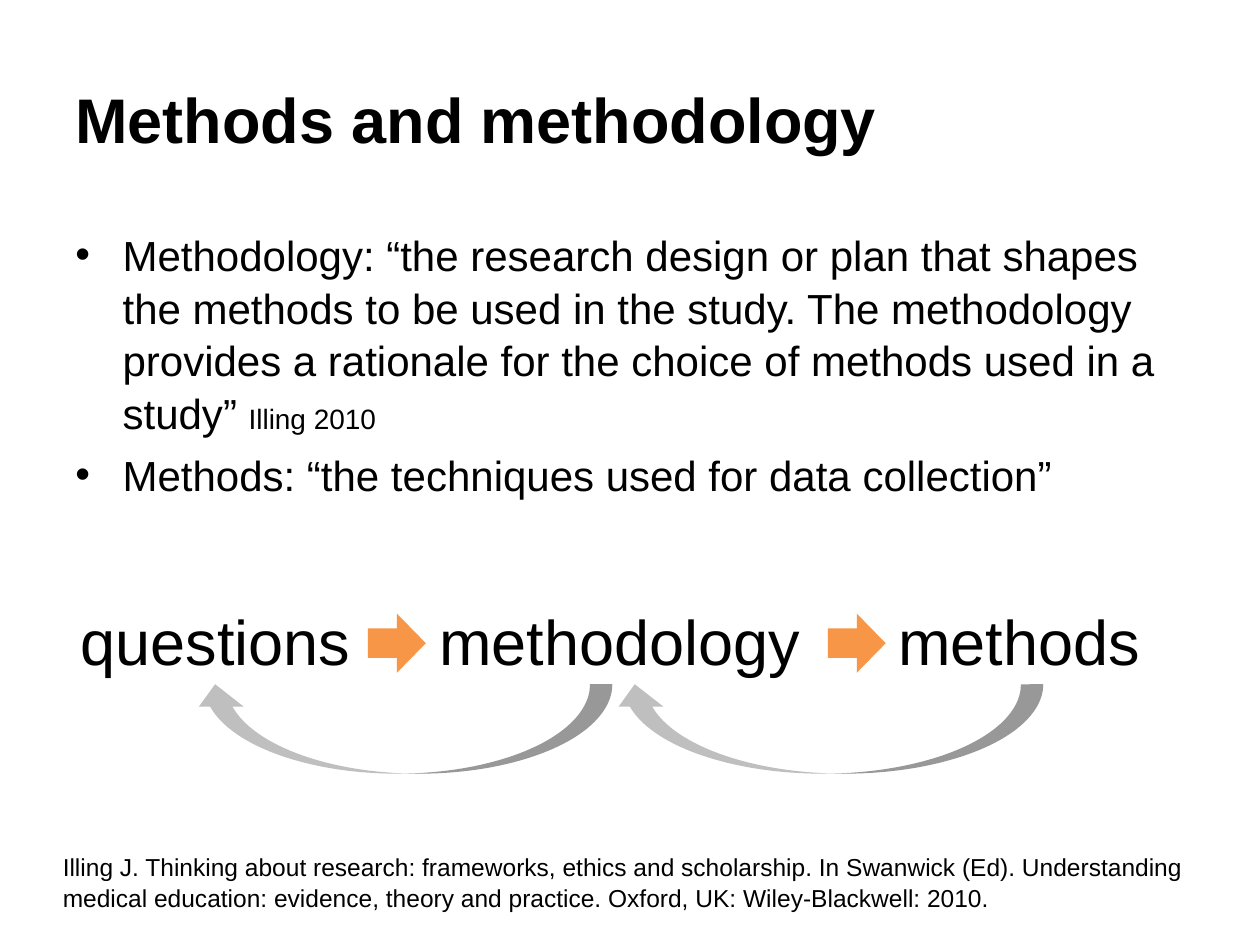
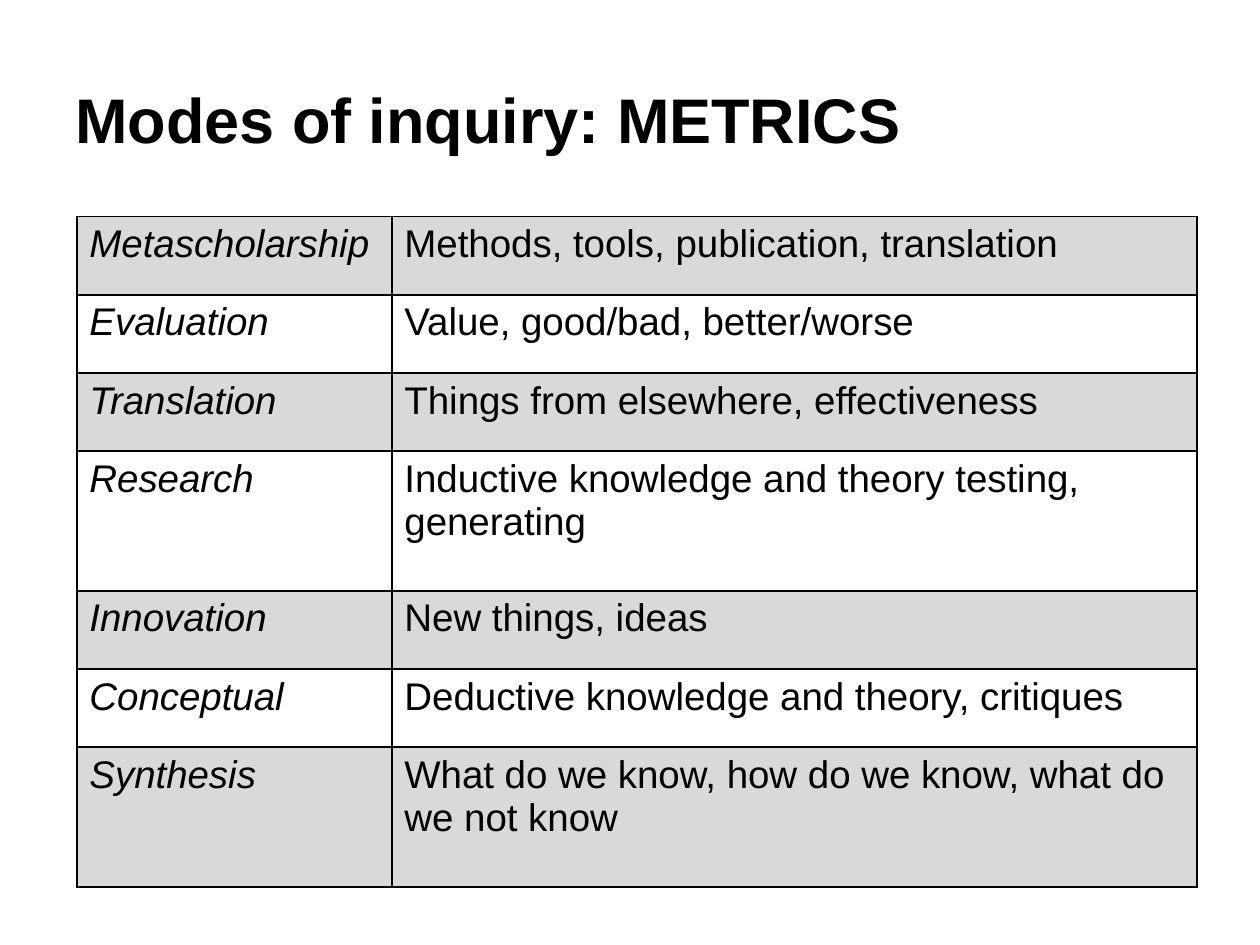
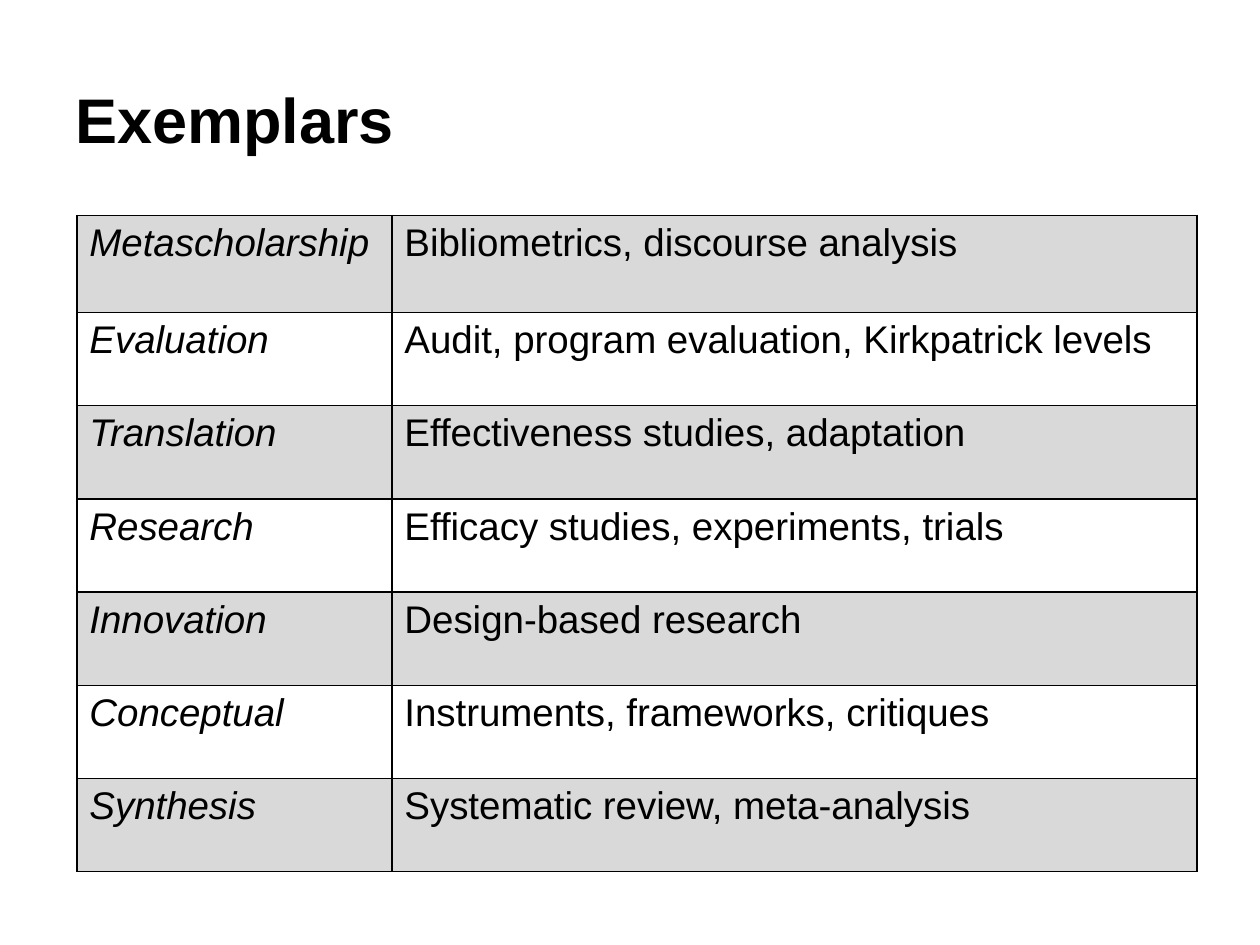
from lxml.etree import SubElement as Sub
from pptx import Presentation
from pptx.dml.color import RGBColor as Rgb
from pptx.enum.shapes import MSO_SHAPE as Kind
from pptx.enum.text import MSO_ANCHOR as Anchor, PP_ALIGN as Align
from pptx.oxml.ns import qn
from pptx.util import Emu, Inches, Pt

HUES = {"ink": "000000", "paper": "FFFFFF", "band": "D9D9D9",
        "step": "F79646", "loop": "BFBFBF"}
FONT = {"name": "Arial", "bold": False, "italic": False}
FLOW = {"line_spacing": 1.05, "space_before": Pt(0), "space_after": Pt(0)}
CELL = {"line_spacing": 1.0, "space_after": Pt(6)}
COLS, ROWS = 100, 75

MODES = ["Metascholarship", "Evaluation", "Translation", "Research",
         "Innovation", "Conceptual", "Synthesis"]
AIMS = ["Methods, tools, publication, translation",
        "Value, good/bad, better/worse",
        "Things from elsewhere, effectiveness",
        "Inductive knowledge and theory testing, generating",
        "New things, ideas",
        "Deductive knowledge and theory, critiques",
        "What do we know, how do we know, what do we not know"]
CASES = ["Bibliometrics, discourse analysis",
         "Audit, program evaluation, Kirkpatrick levels",
         "Effectiveness studies, adaptation",
         "Efficacy studies, experiments, trials",
         "Design-based research",
         "Instruments, frameworks, critiques",
         "Systematic review, meta-analysis"]
QUOTES = [
    [("Methodology: “the research design or plan that shapes the methods "
      "to be used in the study. The methodology provides a rationale for "
      "the choice of methods used in a study” ", 24), ("Illing 2010", 16)],
    [("Methods: “the techniques used for data collection”", 24)]]
SOURCE = ("Illing J. Thinking about research: frameworks, ethics and "
          "scholarship. In Swanwick (Ed). Understanding medical education: "
          "evidence, theory and practice. Oxford, UK: Wiley-Blackwell: 2010.")


def apply(item, *looks):
    for look in looks:
        for key, value in look.items():
            setattr(item, key, value)


def paint(fill, name):
    fill.solid()
    fill.fore_color.rgb = Rgb.from_string(HUES[name])


class Deck:
    def __init__(self):
        self.file = Presentation()
        apply(self.file, {"slide_width": Inches(10),
                          "slide_height": Inches(7.5)})
        self.slide = None

    def x(self, cols):
        return Emu(round(self.file.slide_width * cols / COLS))

    def y(self, rows):
        return Emu(round(self.file.slide_height * rows / ROWS))

    def place(self, x, y, w, h):
        return self.x(x), self.y(y), self.x(w), self.y(h)

    def page(self, title):
        self.slide = self.file.slides.add_slide(self.file.slide_layouts[6])
        paint(self.slide.background.fill, "paper")
        self.text((5, 3, 90, 12.5), title, 36, Anchor.MIDDLE, bold=True)

    def words(self, para, runs, flow, **look):
        apply(para, FLOW, flow)
        for text, size in runs:
            run = para.add_run()
            run.text = text
            apply(run.font, FONT, {"size": Pt(size)}, look)
            paint(run.font.fill, "ink")

    def frame(self, at, anchor=Anchor.TOP):
        frame = self.slide.shapes.add_textbox(*self.place(*at)).text_frame
        apply(frame, {"word_wrap": True, "vertical_anchor": anchor})
        return frame

    def text(self, at, text, size, anchor=Anchor.TOP, align=Align.LEFT,
             **look):
        para = self.frame(at, anchor).paragraphs[0]
        self.words(para, [(text, size)], {"alignment": align}, **look)

    def points(self, at, items):
        frame = self.frame(at)
        for i, runs in enumerate(items):
            para = frame.add_paragraph() if i else frame.paragraphs[0]
            props = para._p.get_or_add_pPr()
            props.set("marL", str(self.x(3.75)))
            props.set("indent", str(-self.x(3.75)))
            Sub(props, qn("a:buFont"), typeface=FONT["name"])
            Sub(props, qn("a:buChar"), char="•")
            self.words(para, runs, {"space_before": Pt(4.8 if i else 0)})

    def shape(self, kind, at, fill, turn=0):
        shape = self.slide.shapes.add_shape(kind, *self.place(*at))
        shape.shadow.inherit = False
        shape.rotation = turn
        paint(shape.fill, fill)
        shape.line.fill.background()

    def edge(self, cell):
        props = cell._tc.get_or_add_tcPr()
        for side in "LRTB":
            line = Sub(props, qn(f"a:ln{side}"), w=str(Pt(1)))
            fill = Sub(line, qn("a:solidFill"))
            Sub(fill, qn("a:srgbClr"), val=HUES["ink"])

    def table(self, top, rows, sizes):
        at = self.place(6.1, top, 88.9, sum(sizes))
        table = self.slide.shapes.add_table(len(rows), 2, *at).table
        apply(table, {"first_row": False, "horz_banding": False})
        for col, width in zip(table.columns, (25, 63.9)):
            col.width = self.x(width)
        for r, (row, size) in enumerate(zip(rows, sizes)):
            table.rows[r].height = self.y(size)
            for c, text in enumerate(row):
                cell = table.cell(r, c)
                self.edge(cell)
                paint(cell.fill, "paper" if r % 2 else "band")
                self.words(cell.text_frame.paragraphs[0], [(text, 22)],
                           CELL, italic=c == 0)


def main():
    deck = Deck()

    deck.page("Methods and methodology")
    deck.points((5, 17.5, 90, 49.5), QUOTES)
    deck.text((4, 67, 91, 5.7), SOURCE, 14)
    for word, x, w in (("questions", 4.9, 24.4), ("methodology", 32.7, 33),
                       ("methods", 68.7, 24.4)):
        deck.text((x, 47, w, 7.1), word, 36, align=Align.CENTER)
    for x in (29.2, 65.7):
        deck.shape(Kind.RIGHT_ARROW, (x, 48.7, 4.6, 4.7), "step")
    for x, w in ((48.6, 34.2), (15.3, 33.3)):
        deck.shape(Kind.CURVED_DOWN_ARROW, (x, 54.3, w, 7.1), "loop", 180)

    deck.page("Modes of inquiry: METRICS")
    deck.table(17.2, list(zip(MODES, AIMS)),
               [11.1 if len(aim) > 45 else 6.2 for aim in AIMS])

    deck.page("Exemplars")
    deck.table(17.1, list(zip(MODES, CASES)), [7.7] + [7.4] * 6)

    deck.file.save("out.pptx")


if __name__ == "__main__":
    main()
